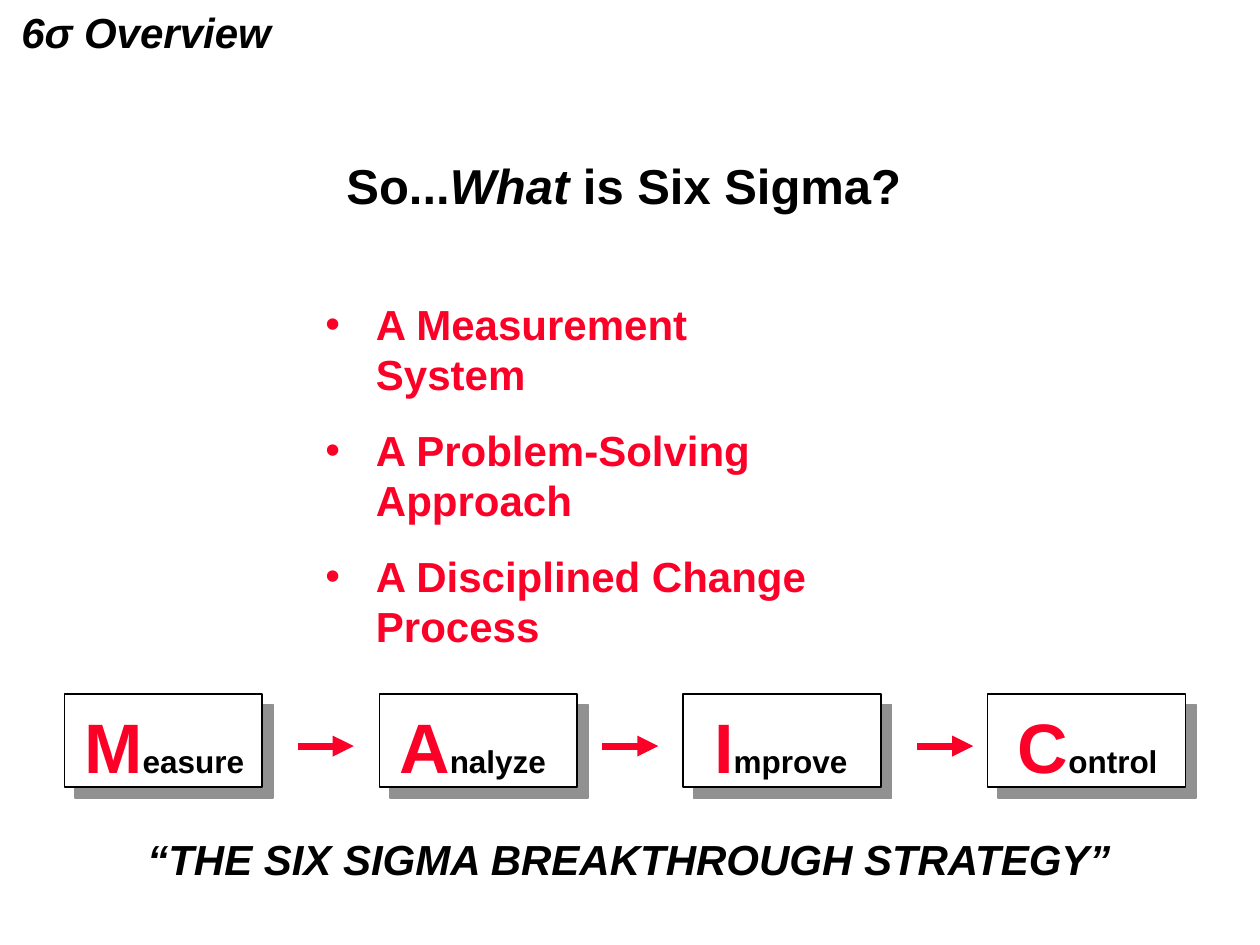
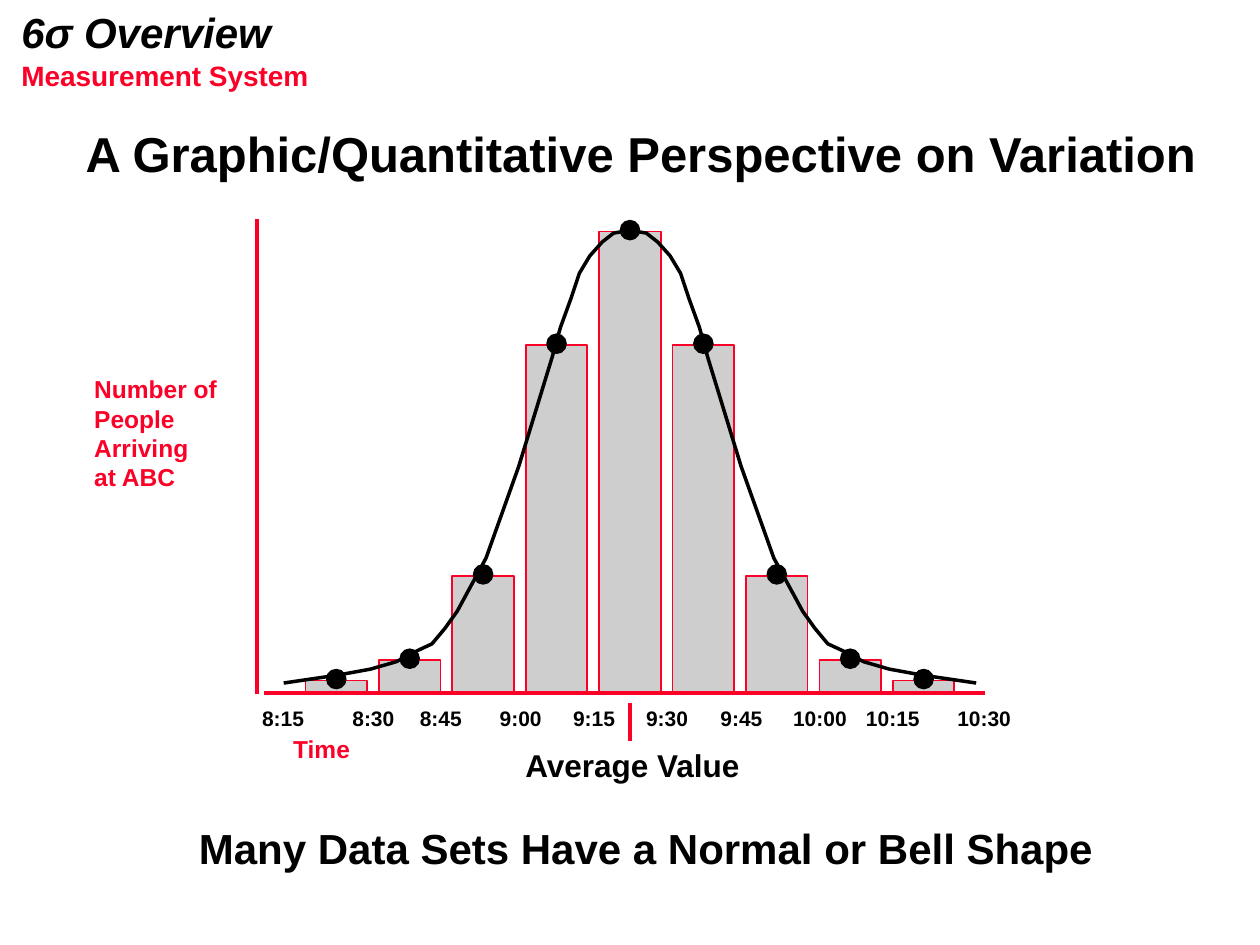
"""Builds two slides on Six Sigma: its four steps and the bell-shaped spread."""
import dataclasses
import typing

import lxml.etree
import pptx
import pptx.dml.color
import pptx.enum.shapes
import pptx.enum.text
import pptx.oxml.ns
import pptx.util

Cm = pptx.util.Cm
Pt = pptx.util.Pt
Forms = pptx.enum.shapes.MSO_SHAPE
Align = pptx.enum.text.PP_ALIGN
Fit = pptx.enum.text.MSO_AUTO_SIZE
qn = pptx.oxml.ns.qn

FONT = "Arial"
COLORS = {"ink": "000000", "red": "FC0128", "bar": "CECECE", "paper": "FFFFFF", "shade": "919191"}


@dataclasses.dataclass(frozen=True)
class Run:
    text: str
    size: float
    color: str = "ink"
    slant: bool = False


@dataclasses.dataclass(frozen=True)
class Block:
    left: float
    top: float
    width: float
    height: float
    lines: tuple[tuple[Run, ...], ...]
    align: typing.Any = Align.LEFT
    hang: float = 0


@dataclasses.dataclass(frozen=True)
class Step:
    cap: str
    rest: str
    left: float
    inset: float
    width: float


@dataclasses.dataclass(frozen=True)
class Tick:
    label: str
    left: float
    width: float


HEADER = Block(0.18, 0, 23.37, 1.27, ((Run("6σ Overview", 24, slant=True),),))

GOALS = ("A Measurement System", "A Problem-Solving Approach", "A Disciplined Change Process")
GOAL_WIDTHS = (10.82, 13.03, 13.51)

STEPS = (
    Step("M", "easure", 1.3, 0.15, 3.84),
    Step("A", "nalyze", 7.65, 0.15, 3.7),
    Step("I", "mprove", 13.77, 0.38, 3.4),
    Step("C", "ontrol", 19.91, 0.36, 3.5),
)
ARROWS = (6, 12.14, 18.49)

MIDDLE, BASE, PITCH = 12.7, 13.96, 1.48
BAR, DOT = 1.24, 0.38
HEIGHTS = (9.29, 7, 2.35, 0.65, 0.24)
CURVE = (
    (6.98, 13.77), (5.89, 13.61), (5.23, 13.49), (4.71, 13.34), (4.27, 13.11), (3.99, 12.98),
    (3.73, 12.67), (3.48, 12.32), (2.9, 11.25), (2.24, 9.4), (1.57, 7.21), (1.4, 6.6),
    (1.19, 6.02), (1.02, 5.51), (0.81, 5.16), (0.56, 4.88), (0.33, 4.7), (0.03, 4.65),
)
TICKS = (
    Tick("8:15", 4.93, 1.45), Tick("8:30", 6.73, 1.47), Tick("8:45", 8.11, 1.45),
    Tick("9:00", 9.7, 1.47), Tick("9:15", 11.18, 1.47), Tick("9:30", 12.65, 1.47),
    Tick("9:45", 14.15, 1.47), Tick("10:00", 15.62, 1.7), Tick("10:15", 17.09, 1.7),
    Tick("10:30", 18.8, 1.83),
)


def tint(name: str) -> pptx.dml.color.RGBColor:
    return pptx.dml.color.RGBColor.from_string(COLORS[name])


def add_mark(para: typing.Any, hang: float) -> None:
    props = para._p.get_or_add_pPr()
    props.set("marL", str(Cm(hang)))
    props.set("indent", str(-Cm(hang)))
    color = lxml.etree.SubElement(props, qn("a:buClr"))
    lxml.etree.SubElement(color, qn("a:srgbClr"), val=COLORS["red"])
    lxml.etree.SubElement(props, qn("a:buFont"), typeface=FONT)
    lxml.etree.SubElement(props, qn("a:buChar"), char="•")


def fill_text(shape: typing.Any, block: Block) -> None:
    shape.left, shape.top = Cm(block.left), Cm(block.top)
    shape.width, shape.height = Cm(block.width), Cm(block.height)
    frame = shape.text_frame
    frame.word_wrap = True
    frame.auto_size = Fit.SHAPE_TO_FIT_TEXT
    frame.vertical_anchor = pptx.enum.text.MSO_ANCHOR.TOP
    for spot, line in enumerate(block.lines):
        para = frame.add_paragraph() if spot else frame.paragraphs[0]
        para.alignment = block.align
        if block.hang:
            add_mark(para, block.hang)
        for part in line:
            run = para.add_run()
            run.text = part.text
            font = run.font
            font.name, font.size = FONT, Pt(part.size)
            font.bold, font.italic = True, part.slant
            font.color.rgb = tint(part.color)


def add_text(slide: typing.Any, block: Block) -> None:
    fill_text(slide.shapes.add_textbox(0, 0, 0, 0), block)


def add_form(slide: typing.Any, kind: typing.Any, left: float, top: float, width: float,
             height: float, fill: str, edge: str) -> typing.Any:
    form = slide.shapes.add_shape(kind, Cm(left), Cm(top), Cm(width), Cm(height))
    form.shadow.inherit = False
    form.fill.solid()
    form.fill.fore_color.rgb = tint(fill)
    form.line.color.rgb = tint(edge)
    form.line.width = Pt(1)
    return form


def add_line(slide: typing.Any, left: float, top: float, right: float, bottom: float,
             weight: float = 2, arrow: bool = False) -> None:
    line = slide.shapes.add_connector(
        pptx.enum.shapes.MSO_CONNECTOR.STRAIGHT, Cm(left), Cm(top), Cm(right), Cm(bottom))
    line.line.color.rgb = tint("red")
    line.line.width = Pt(weight)
    if arrow:
        lxml.etree.SubElement(line.line._get_or_add_ln(), qn("a:tailEnd"), type="triangle")
    lxml.etree.SubElement(line._element.spPr, qn("a:effectLst"))


def add_step(slide: typing.Any, step: Step) -> None:
    box = add_form(slide, Forms.RECTANGLE, step.left, 13.99, 3.99, 1.88, "paper", "ink")
    glow = box._element.spPr.find(qn("a:effectLst"))
    shade = lxml.etree.SubElement(glow, qn("a:outerShdw"), blurRad="0", dist=str(Pt(8.5)),
                                  dir="2700000", algn="ctr", rotWithShape="0")
    lxml.etree.SubElement(shade, qn("a:srgbClr"), val=COLORS["shade"])
    add_text(slide, Block(step.left + step.inset, 14.05, step.width, 1.93,
                          ((Run(step.cap, 40, "red"), Run(step.rest, 18)),)))


def add_curve(slide: typing.Any, side: int) -> None:
    points = [(Cm(MIDDLE + side * gap), Cm(top)) for gap, top in CURVE]
    pen = slide.shapes.build_freeform(*points[0], scale=1.0)
    pen.add_line_segments(points[1:], close=False)
    curve = pen.convert_to_shape()
    curve.shadow.inherit = False
    curve.fill.background()
    curve.line.color.rgb = tint("ink")
    curve.line.width = Pt(2)


def start_slide(deck: typing.Any, title: Block) -> typing.Any:
    slide = deck.slides.add_slide(deck.slide_layouts.get_by_name("Title Only"))
    fill_text(slide.shapes.title, title)
    add_text(slide, HEADER)
    return slide


def draw_steps(deck: typing.Any) -> None:
    words = (Run("So...", 28), Run("What", 28, slant=True), Run(" is Six Sigma?", 28))
    slide = start_slide(deck, Block(6.73, 3, 11.9, 1.42, (words,)))
    for row, (goal, width) in enumerate(zip(GOALS, GOAL_WIDTHS)):
        add_text(slide, Block(6.31, 5.89 + 2.54 * row, width, 1.27,
                              ((Run(goal, 24, "red"),),), hang=1.02))
    add_text(slide, Block(2.72, 16.68, 20.4, 1.27,
                          ((Run("“THE SIX SIGMA BREAKTHROUGH STRATEGY”", 24, slant=True),),)))
    for step in STEPS:
        add_step(slide, step)
    for left in ARROWS:
        add_line(slide, left, 15.04, left + 1.13, 15.04, weight=4, arrow=True)


def draw_bell(deck: typing.Any) -> None:
    title = Run("A Graphic/Quantitative Perspective on Variation", 28)
    slide = start_slide(deck, Block(1.47, 2.36, 23.2, 1.42, ((title,),)))
    add_text(slide, Block(0.18, 1.06, 6.6, 0.91, ((Run("Measurement System", 16, "red"),),)))

    reach = len(HEIGHTS) - 1
    bars = [(MIDDLE + PITCH * spot, HEIGHTS[abs(spot)]) for spot in range(-reach, reach + 1)]
    for center, height in bars:
        add_form(slide, Forms.RECTANGLE, center - BAR / 2, BASE - height, BAR, height, "bar", "red")
    for side in (1, -1):
        add_curve(slide, side)
    for center, height in bars:
        add_form(slide, Forms.OVAL, center - DOT / 2, BASE - height - 0.22, DOT, DOT, "ink", "ink")

    add_line(slide, MIDDLE, 14.17, MIDDLE, 14.94)
    add_line(slide, 5.33, 13.97, 19.86, 13.97)
    add_line(slide, 5.18, 14, 5.18, 4.42)

    add_text(slide, Block(10.34, 14.91, 5.1, 1.02, ((Run("Average Value", 18),),)))
    add_text(slide, Block(3.76, 16.46, 19, 1.27,
                          ((Run("Many Data Sets Have a Normal or Bell Shape", 24),),)))
    words = ("Number of", "People", "Arriving", "at ABC")
    add_text(slide, Block(1.65, 7.42, 3.3, 2.62,
                          tuple((Run(word, 14, "red"),) for word in words)))
    add_text(slide, Block(5.66, 14.68, 1.85, 0.84, ((Run("Time", 14, "red"),),)))
    for tick in TICKS:
        add_text(slide, Block(tick.left, 14.1, tick.width, 0.76,
                              ((Run(tick.label, 12),),), align=Align.RIGHT))


def main() -> None:
    deck = pptx.Presentation()
    deck.slide_width, deck.slide_height = Cm(25.4), Cm(19.05)
    draw_steps(deck)
    draw_bell(deck)
    deck.save("out.pptx")


if __name__ == "__main__":
    main()
